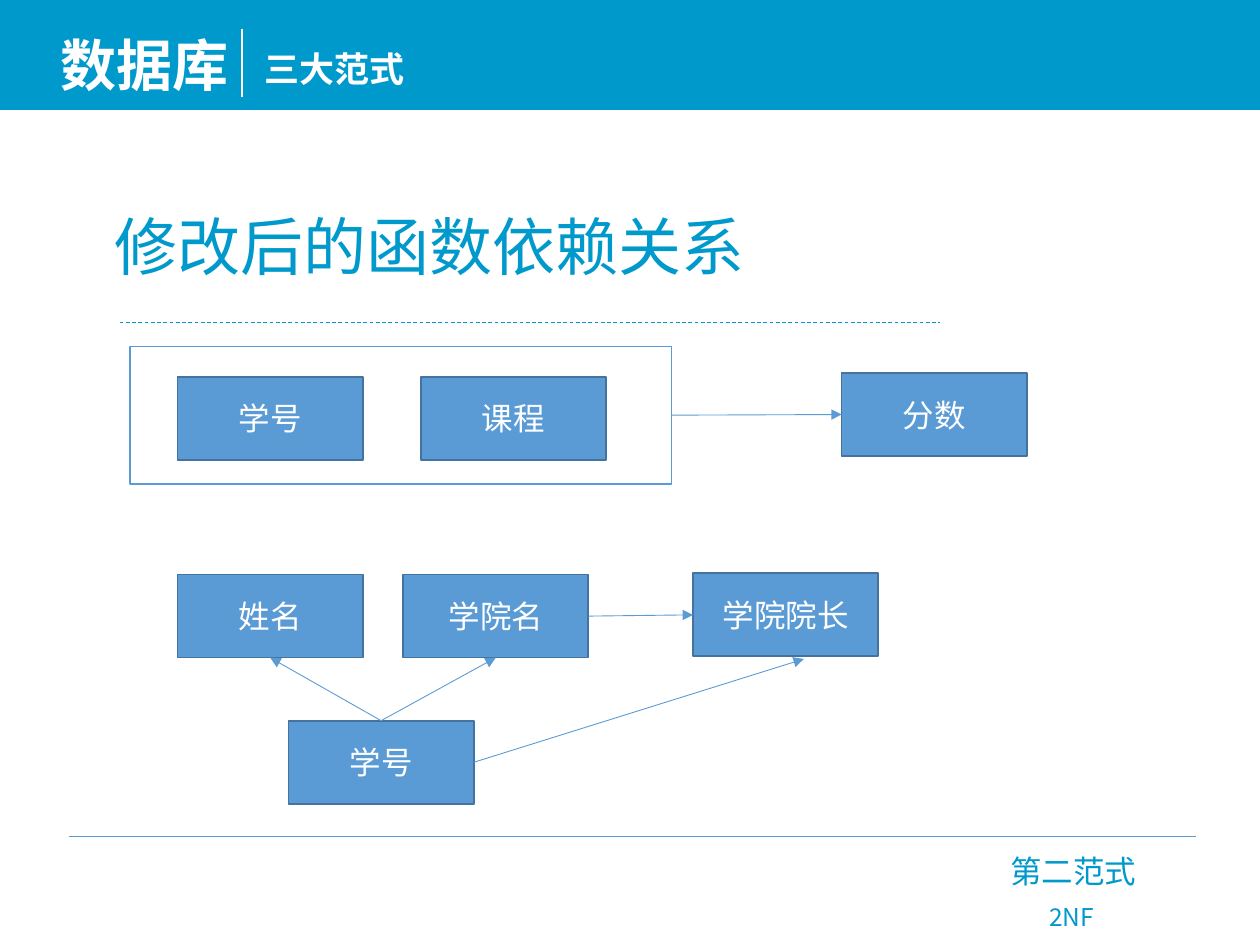
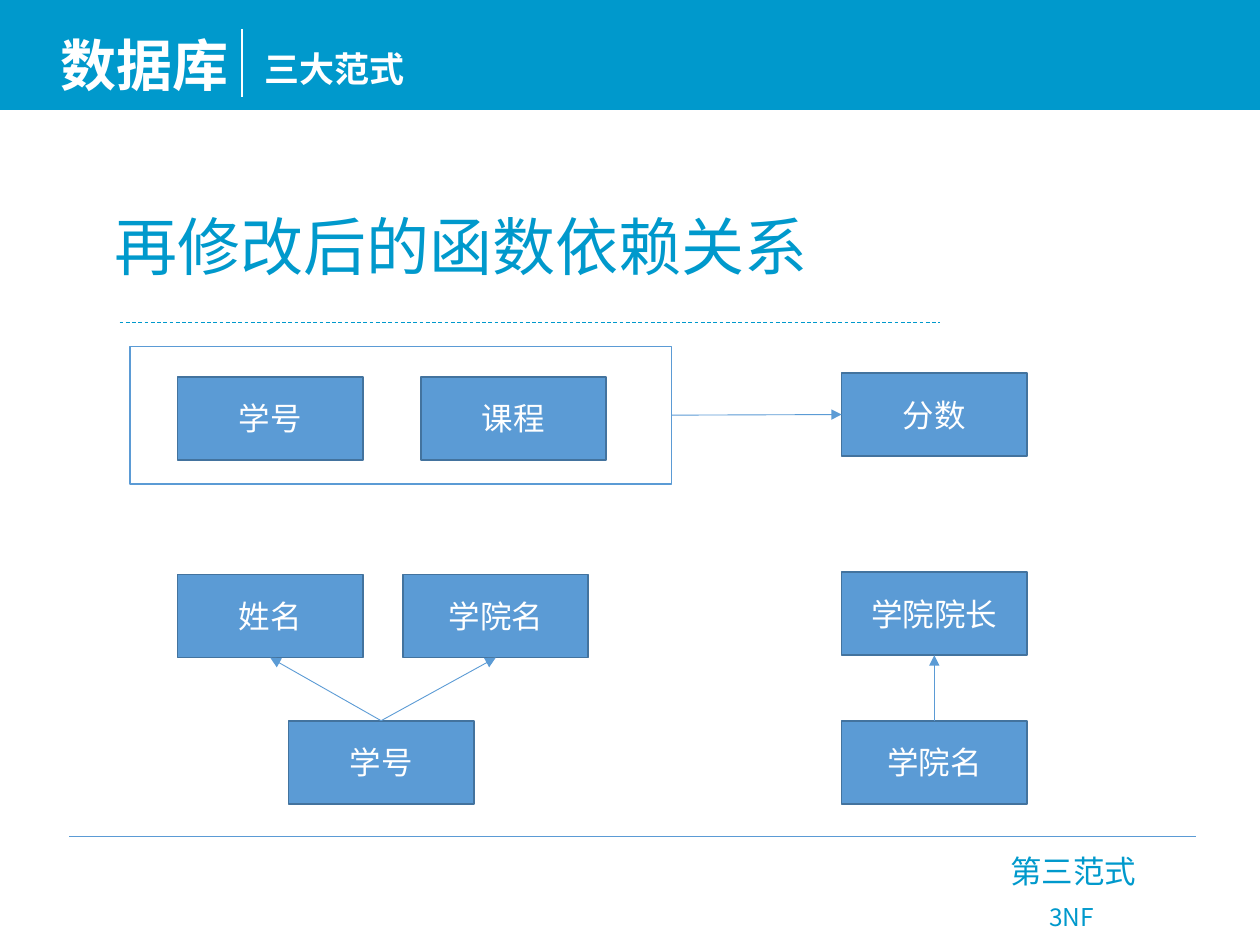
import pptx
import pptx.dml.color
import pptx.enum.dml
import pptx.enum.shapes
import pptx.enum.text
import pptx.oxml.ns
import pptx.util
from lxml import etree
from pptx.util import Inches

RGBColor = pptx.dml.color.RGBColor
BRAND = RGBColor(0x00, 0x99, 0xCC)
BOX_FILL = RGBColor(0x5B, 0x9B, 0xD5)
BOX_LINE = RGBColor(0x43, 0x73, 0x9E)
WHITE = RGBColor(0xFF, 0xFF, 0xFF)
CJK_FONT = "Noto Sans CJK SC"
BOX_FONT = "Calibri"

HEADING = "数据库"
SUBHEADING = "三大范式"
BOX_WIDTH, BOX_HEIGHT = 1.47, 0.66
KEY_FRAME = (1.03, 2.75, 4.3, 1.09)
TOP, LEFT, BOTTOM, RIGHT = range(4)

SHARED_BOXES = {
    "key_student": ("学号", 1.41, 2.99),
    "key_course": ("课程", 3.34, 2.99),
    "score": ("分数", 6.68, 2.96),
    "name": ("姓名", 1.41, 4.56),
    "college": ("学院名", 3.2, 4.56),
    "student": ("学号", 2.29, 5.72),
}
SHARED_ARROWS = [
    ("key_frame", RIGHT, "score", LEFT),
    ("student", TOP, "name", BOTTOM),
    ("student", TOP, "college", BOTTOM),
]
SLIDES = [
    {
        "title": "修改后的函数依赖关系",
        "title_width": 5.25,
        "form": "第二范式",
        "short_form": "2NF",
        "boxes": {"dean": ("学院院长", 5.5, 4.55)},
        "arrows": [("college", RIGHT, "dean", LEFT)],
        "free_arrows": [((3.76, 6.05), (6.38, 5.23))],
    },
    {
        "title": "再修改后的函数依赖关系",
        "title_width": 5.76,
        "form": "第三范式",
        "short_form": "3NF",
        "boxes": {
            "dean": ("学院院长", 6.68, 4.54),
            "dean_college": ("学院名", 6.68, 5.72),
        },
        "arrows": [("dean_college", TOP, "dean", BOTTOM)],
        "free_arrows": [],
    },
]


def add_run(paragraph, text, size, color, font=CJK_FONT, bold=False):
    run = paragraph.add_run()
    run.text = text
    run.font.size = pptx.util.Pt(size)
    run.font.name = font
    run.font.bold = bold
    run.font.color.rgb = color
    east_asian = etree.SubElement(run.font._element, pptx.oxml.ns.qn("a:ea"))
    east_asian.set("typeface", CJK_FONT)


def add_text(slide, place, text, size, color, bold=False, wrap=False):
    frame = slide.shapes.add_textbox(*map(Inches, place)).text_frame
    frame.word_wrap = wrap
    frame.auto_size = pptx.enum.text.MSO_AUTO_SIZE.SHAPE_TO_FIT_TEXT
    add_run(frame.paragraphs[0], text, size, color, bold=bold)


def add_shape(slide, place, fill, line, kind="RECTANGLE"):
    preset = getattr(pptx.enum.shapes.MSO_SHAPE, kind)
    shape = slide.shapes.add_shape(preset, *map(Inches, place))
    shape.shadow.inherit = False
    shape.fill.solid()
    shape.fill.fore_color.rgb = fill
    shape.line.color.rgb = line
    shape.line.width = pptx.util.Pt(1)
    return shape


def add_box(slide, text, left, top):
    box = add_shape(slide, (left, top, BOX_WIDTH, BOX_HEIGHT), BOX_FILL, BOX_LINE)
    box.text_frame.vertical_anchor = pptx.enum.text.MSO_ANCHOR.MIDDLE
    paragraph = box.text_frame.paragraphs[0]
    paragraph.alignment = pptx.enum.text.PP_ALIGN.CENTER
    add_run(paragraph, text, 18, WHITE, BOX_FONT)
    return box


def add_line(slide, start, end, color=BOX_FILL, width=0.5, dashed=False):
    straight = pptx.enum.shapes.MSO_CONNECTOR.STRAIGHT
    line = slide.shapes.add_connector(straight, *map(Inches, start + end))
    line.line.color.rgb = color
    line.line.width = pptx.util.Pt(width)
    if dashed:
        line.line.dash_style = pptx.enum.dml.MSO_LINE.DASH
    etree.SubElement(line._element.spPr, pptx.oxml.ns.qn("a:effectLst"))
    return line


def add_arrow(slide, start=(0, 0), end=(0, 0)):
    arrow = add_line(slide, start, end)
    tail = etree.SubElement(arrow.line._get_or_add_ln(), pptx.oxml.ns.qn("a:tailEnd"))
    tail.set("type", "triangle")
    return arrow


def add_frame(slide, content):
    band = add_shape(slide, (0, 0.01, 10, 0.86), BRAND, BRAND, "ROUNDED_RECTANGLE")
    band.adjustments[0] = 0
    add_text(slide, (0.38, 0.19, 1.63, 0.64), HEADING, 32, WHITE, bold=True, wrap=True)
    add_text(slide, (2, 0.33, 2.23, 0.44), SUBHEADING, 20, WHITE, bold=True, wrap=True)
    add_line(slide, (1.92, 0.23), (1.92, 0.77), WHITE, 1)
    add_text(slide, (0.81, 1.6, content["title_width"], 0.71), content["title"], 36, BRAND)
    add_line(slide, (0.95, 2.56), (7.46, 2.56), BRAND, dashed=True)
    add_line(slide, (0.55, 6.64), (9.49, 6.64))
    add_text(slide, (7.92, 6.71, 1.21, 0.4), content["form"], 18, BRAND)
    add_text(slide, (8.23, 7.11, 0.58, 0.34), content["short_form"], 14, BRAND)


def add_diagram(slide, content):
    nodes = {"key_frame": add_shape(slide, KEY_FRAME, WHITE, BOX_FILL)}
    for name, box in (SHARED_BOXES | content["boxes"]).items():
        nodes[name] = add_box(slide, *box)
    for source, source_side, target, target_side in SHARED_ARROWS + content["arrows"]:
        arrow = add_arrow(slide)
        arrow.begin_connect(nodes[source], source_side)
        arrow.end_connect(nodes[target], target_side)
    for start, end in content["free_arrows"]:
        add_arrow(slide, start, end)


def main():
    presentation = pptx.Presentation()
    presentation.slide_width = Inches(10)
    presentation.slide_height = Inches(7.5)
    for content in SLIDES:
        slide = presentation.slides.add_slide(presentation.slide_layouts[6])
        add_frame(slide, content)
        add_diagram(slide, content)
    presentation.save("out.pptx")


if __name__ == "__main__":
    main()
